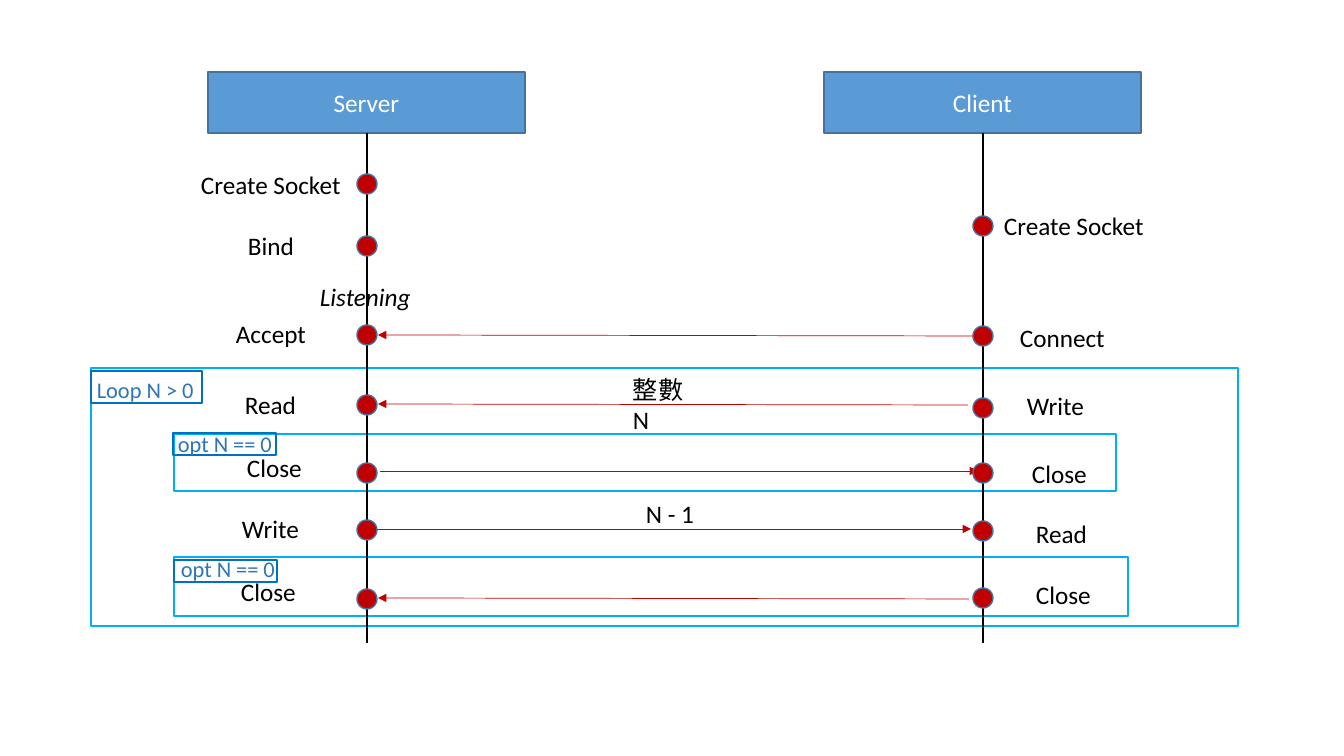
from pptx import Presentation
from pptx.dml.color import RGBColor
from pptx.enum.shapes import MSO_CONNECTOR as Connector, MSO_SHAPE as Preset
from pptx.enum.text import MSO_ANCHOR as Anchor, MSO_AUTO_SIZE as AutoSize, PP_ALIGN as Align
from pptx.oxml.ns import qn
from pptx.util import Pt
from lxml.etree import SubElement

EMU_PER_PIXEL = 914400 / 100.8
BLANK_LAYOUT = 6
SERVER_X, CLIENT_X = 367, 983
HEADER_TOP, HEADER_WIDTH, HEADER_HEIGHT = 72, 317, 61
LIFELINE_END = 643
DOT_SIZE = 20
LABEL_HEIGHT = 40

LABEL_WIDTHS = {
    "Create Socket": 161, "Bind": 67, "Listening": 112, "Accept": 91, "Connect": 106,
    "Read": 72, "Write": 78, "Close": 76, "N - 1": 70, "整數 N": 88,
}
LABELS = [
    ("Create Socket", 191, 164), ("Bind", 238, 225), ("Accept", 226, 313),
    ("Read", 235, 384), ("Close", 237, 447), ("Write", 232, 508), ("Close", 231, 571),
    ("Create Socket", 994, 205), ("Connect", 1010, 317), ("Write", 1017, 385),
    ("Close", 1022, 453), ("Read", 1026, 513), ("Close", 1026, 574),
    ("N - 1", 636, 493),
]
DOT_CENTERS = {
    SERVER_X: [184, 246, 335, 405, 473, 530, 599],
    CLIENT_X: [226, 336, 408, 473, 531, 598],
}
MESSAGES = [
    ((973, 336), (378, 335)), ((968, 405), (378, 404)), ((380, 471), (978, 471)),
    ((373, 529), (971, 529)), ((969, 599), (378, 598)),
]
FRAMES = [(91, 368, 1147, 258), (174, 434, 942, 57), (174, 557, 954, 59)]
FRAME_TAGS = [(91, 371, 111, 32), (173, 433, 103, 22), (174, 560, 103, 22)]
FRAME_TITLES = [("Loop N > 0", 87, 371), ("opt N == 0", 168, 425), ("opt N == 0", 171, 550)]


def px(value):
    return round(value * EMU_PER_PIXEL)


def color(value):
    return RGBColor.from_string(value)


def apply(target, values):
    for name, value in values.items():
        setattr(target, name, value)


def write(shape, text, size=18, fill="000000", italic=None, align=Align.LEFT):
    paragraph = shape.text_frame.paragraphs[0]
    paragraph.alignment = align
    run = paragraph.add_run()
    run.text = text
    apply(run.font, {"name": "Calibri", "size": Pt(size), "italic": italic})
    run.font.color.rgb = color(fill)


def add_preset(slide, preset, box, line, fill=None):
    shape = slide.shapes.add_shape(preset, *map(px, box))
    shape.shadow.inherit = False
    if fill:
        shape.fill.solid()
        shape.fill.fore_color.rgb = color(fill)
    else:
        shape.fill.background()
    shape.line.color.rgb = color(line)
    shape.line.width = Pt(1)
    return shape


def add_label(slide, text, box, wrap=False, **style):
    label = slide.shapes.add_textbox(*map(px, box))
    apply(label.text_frame, {"word_wrap": wrap, "auto_size": AutoSize.SHAPE_TO_FIT_TEXT})
    write(label, text, **style)


def add_line(slide, start, end, stroke, width, arrow=False):
    line = slide.shapes.add_connector(Connector.STRAIGHT, *map(px, start + end))
    line.line.color.rgb = color(stroke)
    line.line.width = Pt(width)
    properties = line._element.spPr
    if arrow:
        SubElement(properties.find(qn("a:ln")), qn("a:tailEnd"), type="triangle")
    SubElement(properties, qn("a:effectLst"))


def add_participant(slide, name, center):
    box = (center - HEADER_WIDTH // 2 - 1, HEADER_TOP, HEADER_WIDTH, HEADER_HEIGHT)
    header = add_preset(slide, Preset.RECTANGLE, box, "43739E", "5B9BD5")
    header.text_frame.vertical_anchor = Anchor.MIDDLE
    write(header, name, fill="FFFFFF", align=Align.CENTER)
    add_line(slide, (center, HEADER_TOP + HEADER_HEIGHT), (center, LIFELINE_END), "000000", 1)


def add_dot(slide, center_x, center_y):
    box = (center_x - DOT_SIZE / 2, center_y - DOT_SIZE / 2, DOT_SIZE, DOT_SIZE)
    add_preset(slide, Preset.FLOWCHART_CONNECTOR, box, "43739E", "C00000")


def main():
    presentation = Presentation()
    apply(presentation, {"slide_width": px(1344), "slide_height": px(756)})
    slide = presentation.slides.add_slide(presentation.slide_layouts[BLANK_LAYOUT])

    for box in FRAMES:
        add_preset(slide, Preset.RECTANGLE, box, "00B0F0")
    for name, center in (("Server", SERVER_X), ("Client", CLIENT_X)):
        add_participant(slide, name, center)
    for start, end in MESSAGES:
        add_line(slide, start, end, "C00000", 0.5, arrow=True)
    for center_x, rows in DOT_CENTERS.items():
        for center_y in rows:
            add_dot(slide, center_x, center_y)

    for text, left, top in LABELS:
        add_label(slide, text, (left, top, LABEL_WIDTHS[text], LABEL_HEIGHT))
    add_label(slide, "Listening", (310, 276, LABEL_WIDTHS["Listening"], LABEL_HEIGHT), italic=True)
    add_label(slide, "整數 N", (623, 369, LABEL_WIDTHS["整數 N"], LABEL_HEIGHT), wrap=True)

    for box in FRAME_TAGS:
        add_preset(slide, Preset.RECTANGLE, box, "0070C0")
    for text, left, top in FRAME_TITLES:
        add_label(slide, text, (left, top, 160, 37), wrap=True, size=16, fill="2E75B6")

    presentation.save("out.pptx")


main()
